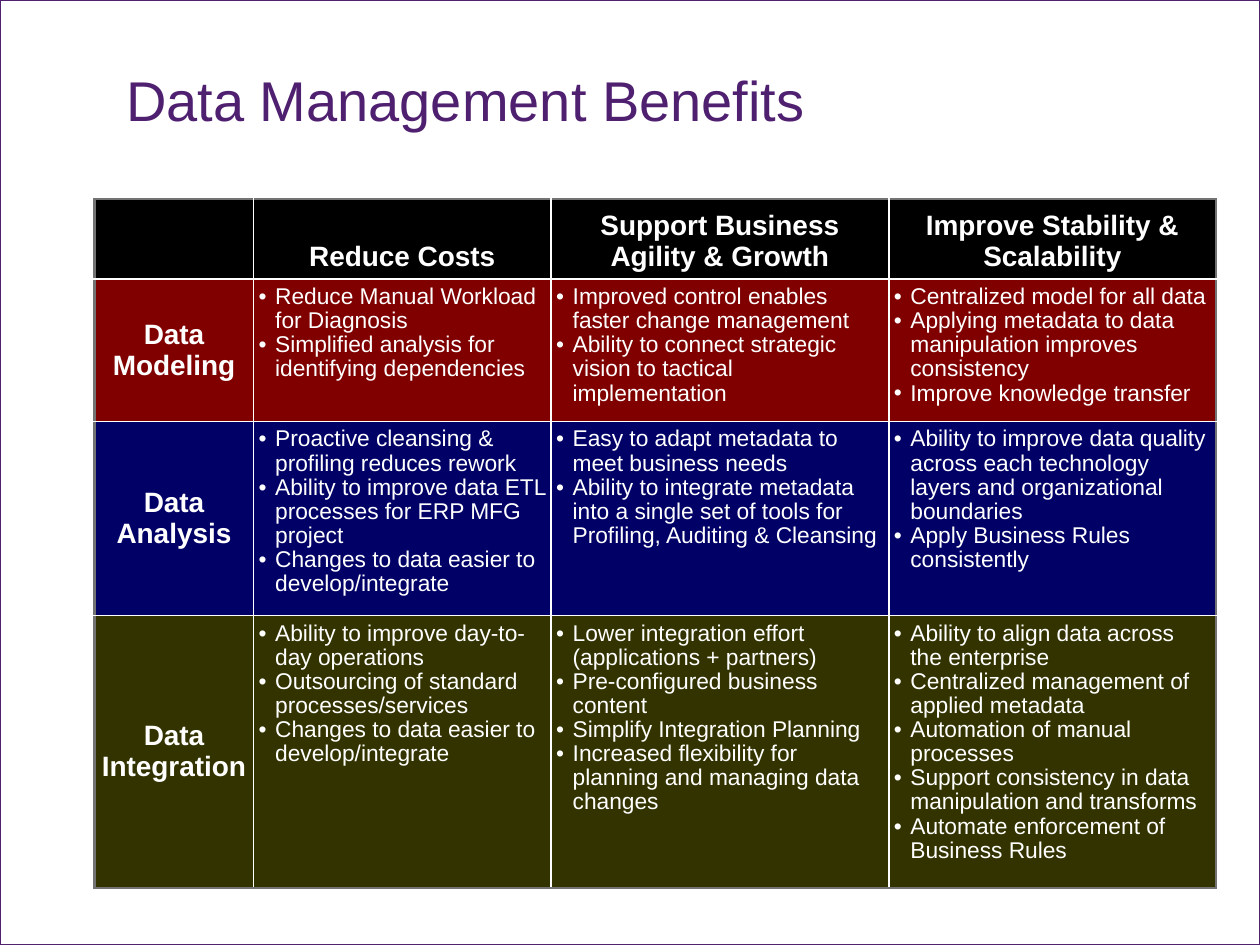
from lxml import etree
from pptx import Presentation
from pptx.dml.color import RGBColor
from pptx.enum import shapes, text
from pptx.oxml import ns
from pptx.util import Pt

COLORS = {"purple": "4F2070", "white": "FFFFFF", "gray": "737373", "black": "000000",
          "red": "800000", "navy": "000066", "olive": "333300"}

headings = ["", "Reduce Costs", "Support Business Agility & Growth",
            "Improve Stability & Scalability"]
disciplines = [
    ("Data Modeling", "red", [
        ["Reduce Manual Workload for Diagnosis",
         "Simplified analysis for identifying dependencies"],
        ["Improved control enables faster change management",
         "Ability to connect strategic vision to tactical implementation"],
        ["Centralized model for all data",
         "Applying metadata to data manipulation improves consistency",
         "Improve knowledge transfer"]]),
    ("Data Analysis", "navy", [
        ["Proactive cleansing & profiling reduces rework",
         "Ability to improve data ETL processes for ERP MFG project",
         "Changes to data easier to develop/integrate"],
        ["Easy to adapt metadata to meet business needs",
         "Ability to integrate metadata into a single set of tools for "
         "Profiling, Auditing & Cleansing"],
        ["Ability to improve data quality across each technology layers "
         "and organizational boundaries",
         "Apply Business Rules consistently"]]),
    ("Data Integration", "olive", [
        ["Ability to improve day-to-day operations",
         "Outsourcing of standard processes/services",
         "Changes to data easier to develop/integrate"],
        ["Lower integration effort (applications + partners)",
         "Pre-configured business content",
         "Simplify Integration Planning",
         "Increased flexibility for planning and managing data changes"],
        ["Ability to align data across the enterprise",
         "Centralized management of applied metadata",
         "Automation of manual processes",
         "Support consistency in data manipulation and transforms",
         "Automate enforcement of Business Rules"]]),
]

HEADING_FONT = {"name": "Arial", "size": Pt(16), "bold": True}
BENEFIT_FONT = {"name": "Arial", "size": Pt(13), "bold": False}
TITLE_FONT = {"name": "Arial", "size": Pt(32), "bold": False}
CELL_MARGINS = {"margin_left": Pt(3), "margin_right": Pt(3),
                "margin_top": Pt(3.6), "margin_bottom": Pt(3.6)}


def write(paragraph, wording, font_format, color):
    run = paragraph.add_run()
    run.text = wording
    for name, value in font_format.items():
        setattr(run.font, name, value)
    run.font.color.rgb = RGBColor.from_string(COLORS[color])


def add_child(parent, tag, **attributes):
    return etree.SubElement(parent, ns.qn(tag), attributes)


prs = Presentation()
prs.slide_width, prs.slide_height = Pt(720), Pt(540)
slide = prs.slides.add_slide(prs.slide_layouts[6])

# Slide frame
frame = slide.shapes.add_shape(shapes.MSO_SHAPE.RECTANGLE, 0, 0, Pt(720), Pt(540))
frame.shadow.inherit = False
frame.fill.background()
frame.line.color.rgb = RGBColor.from_string(COLORS["purple"])
frame.line.width = Pt(0.75)

# Title
title = slide.shapes.add_textbox(Pt(72), Pt(42), Pt(600), Pt(48)).text_frame
title_format = {"word_wrap": True, "margin_left": 0, "margin_right": 0,
                "margin_top": 0, "margin_bottom": 0}
for name, value in title_format.items():
    setattr(title, name, value)
title.paragraphs[0].line_spacing = 0.9
write(title.paragraphs[0], "Data Management Benefits", TITLE_FONT, "purple")

# Benefits table
column_widths = [90.9, 170, 193, 187]
row_heights = [44, 80, 110, 155]
benefits = slide.shapes.add_table(
    len(row_heights), len(column_widths), Pt(54), Pt(113.8),
    Pt(sum(column_widths)), Pt(sum(row_heights))).table
for column, width in zip(benefits.columns, column_widths):
    column.width = Pt(width)
for row, height in zip(benefits.rows, row_heights):
    row.height = Pt(height)

# Cell borders and fills: gray around the outside, white between cells
last_row, last_column = len(row_heights) - 1, len(column_widths) - 1
row_colors = ["black"] + [color for _, color, _ in disciplines]
for r, row_color in enumerate(row_colors):
    for c in range(len(column_widths)):
        cell = benefits.cell(r, c)
        for name, value in CELL_MARGINS.items():
            setattr(cell, name, value)
        outer_sides = {"a:lnL": c == 0, "a:lnR": c == last_column,
                       "a:lnT": r == 0, "a:lnB": r == last_row}
        for side, is_outer in outer_sides.items():
            width = Pt(1.47 if is_outer else 1.08)
            border = add_child(cell._tc.get_or_add_tcPr(), side, w=str(width))
            border_fill = add_child(border, "a:solidFill")
            add_child(border_fill, "a:srgbClr",
                      val=COLORS["gray" if is_outer else "white"])
        cell.fill.solid()
        cell.fill.fore_color.rgb = RGBColor.from_string(COLORS[row_color])

# Column and row headings
heading_cells = [(0, c, wording, text.MSO_ANCHOR.BOTTOM)
                 for c, wording in enumerate(headings) if wording]
heading_cells += [(r, 0, discipline[0], text.MSO_ANCHOR.MIDDLE)
                  for r, discipline in enumerate(disciplines, 1)]
for r, c, wording, anchor in heading_cells:
    cell = benefits.cell(r, c)
    cell.vertical_anchor = anchor
    paragraph = cell.text_frame.paragraphs[0]
    paragraph.alignment = text.PP_ALIGN.CENTER
    write(paragraph, wording, HEADING_FONT, "white")

# Bulleted benefits
for r, (_, _, benefit_lists) in enumerate(disciplines, 1):
    for c, benefit_list in enumerate(benefit_lists, 1):
        body = benefits.cell(r, c).text_frame
        for i, benefit in enumerate(benefit_list):
            paragraph = body.add_paragraph() if i else body.paragraphs[0]
            paragraph.line_spacing = 0.95
            properties = paragraph._p.get_or_add_pPr()
            properties.set("marL", str(Pt(9.4)))
            properties.set("indent", str(-Pt(9.4)))
            bullet_color = add_child(properties, "a:buClr")
            add_child(bullet_color, "a:srgbClr", val=COLORS["white"])
            add_child(properties, "a:buFont", typeface="Arial")
            add_child(properties, "a:buChar", char="•")
            write(paragraph, benefit, BENEFIT_FONT, "white")

prs.save("out.pptx")
